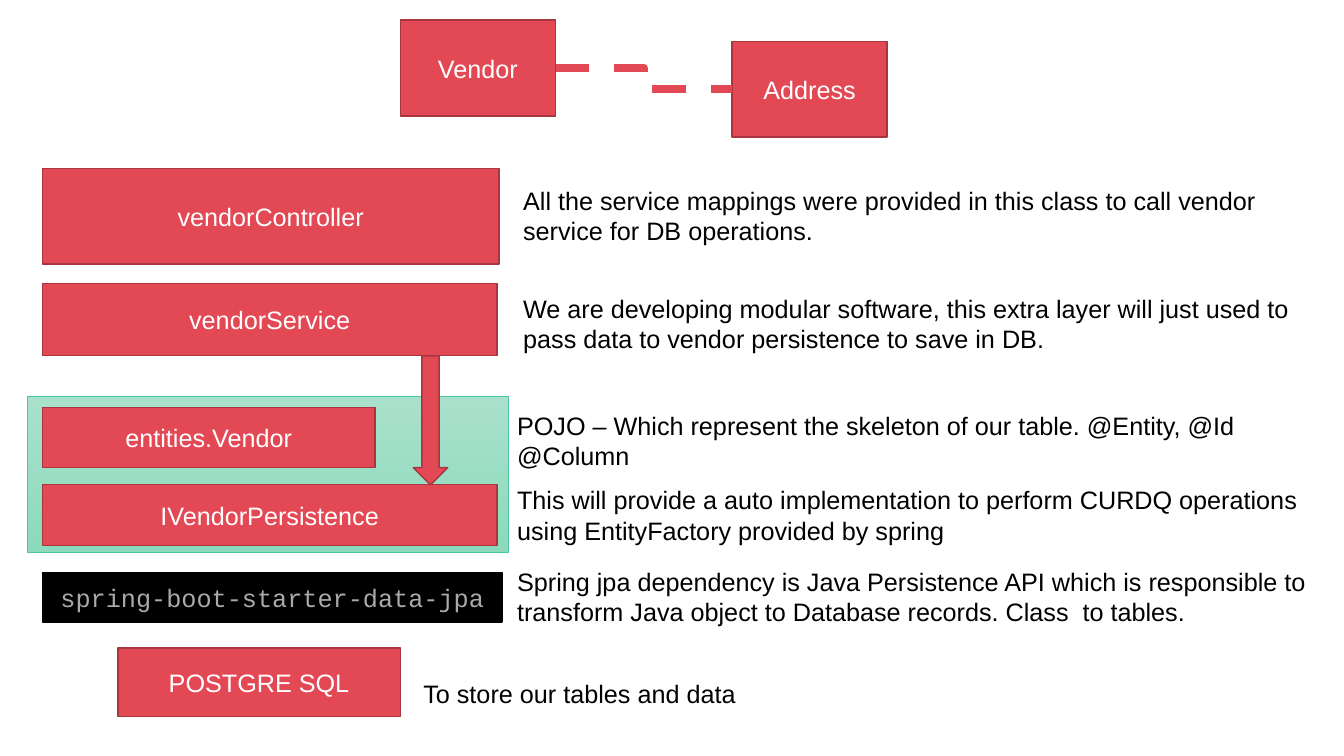
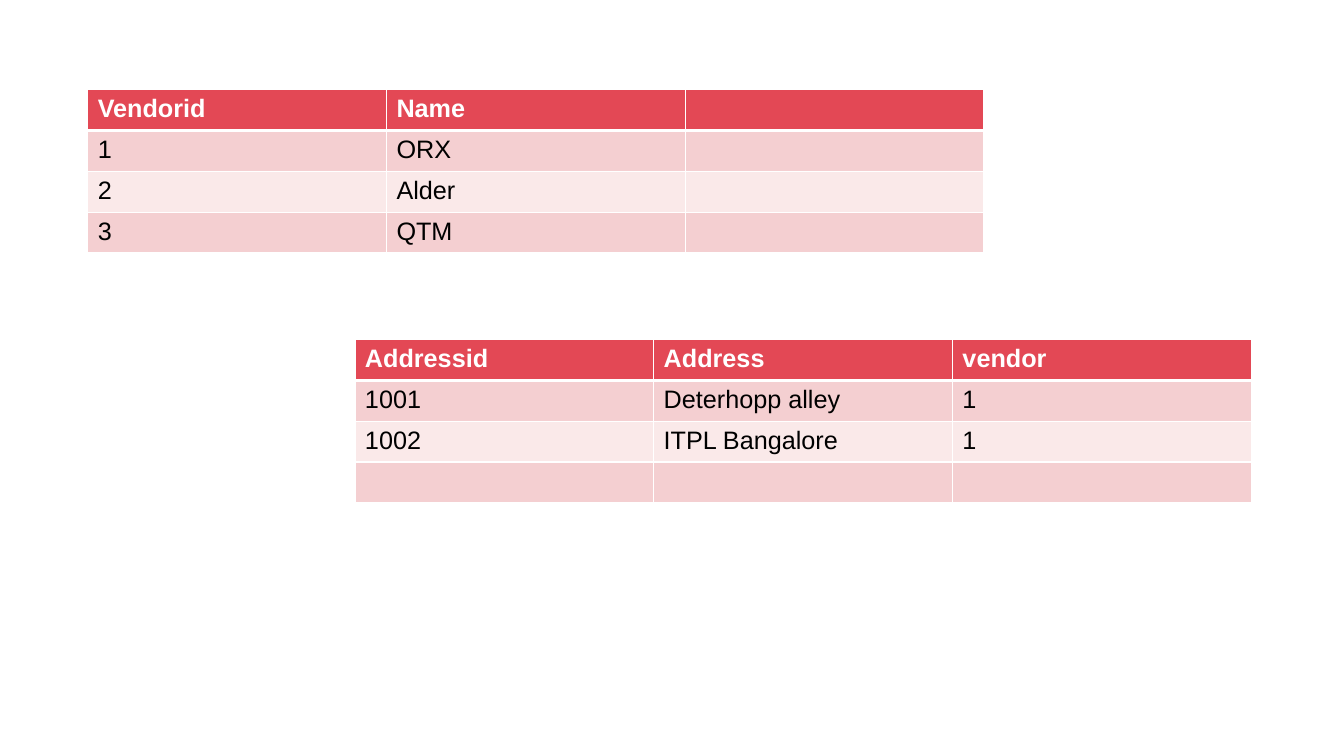
"""Builds two slides: the layers of a vendor service and its tables."""
from lxml import etree
from pptx import Presentation
from pptx.dml.color import RGBColor
from pptx.enum import dml, shapes, text
from pptx.oxml import ns
from pptx.util import Inches, Pt

COLORS = {
    "red": "E34855", "dark_red": "A8353F", "white": "FFFFFF", "black": "000000",
    "code": "AAAAAA", "mint_top": "AAE1CC", "mint_bottom": "8BDABC",
    "mint_line": "4BC7A0", "odd_row": "F4CFD1", "even_row": "FAE9E9",
}
BODY_FONT, CODE_FONT = "Arial", "Courier New"
LAYER_LEFT = 0.42
LAYERS = [
    (LAYER_LEFT, 1.67, 4.53, 0.95, "vendorController"),
    (LAYER_LEFT, 2.81, 4.51, 0.72, "vendorService"),
    (LAYER_LEFT, 4.04, 3.3, 0.6, "entities.Vendor"),
    (LAYER_LEFT, 4.81, 4.51, 0.6, "IVendorPersistence"),
    (1.17, 6.43, 2.8, 0.68, "POSTGRE SQL"),
]
NOTES = [
    (5.09, 1.79, 8.09, 0.71, "All the service mappings were provided in this class to call "
     "vendor service for DB operations."),
    (5.09, 2.86, 8.09, 0.71, "We are developing modular software, this extra layer will just "
     "used to pass data to vendor persistence to save in DB."),
    (5.03, 4.02, 8.58, 0.71, "POJO – Which represent the skeleton of our table. @Entity, @Id\n"
     "@Column"),
    (5.03, 4.76, 8.58, 0.71, "This will provide a auto implementation to perform CURDQ "
     "operations using EntityFactory provided by spring"),
    (5.03, 5.57, 8.58, 0.71, "Spring jpa dependency is Java Persistence API which is "
     "responsible to transform Java object to Database records. Class  to tables."),
    (4.1, 6.68, 8.58, 0.4, "To store our tables and data"),
]
VENDOR_ROWS = [("Vendorid", "Name", ""), ("1", "ORX", ""), ("2", "Alder", ""), ("3", "QTM", "")]
ADDRESS_ROWS = [("Addressid", "Address", "vendor"), ("1001", "Deterhopp alley", "1"),
                ("1002", "ITPL Bangalore", "1"), ("", "", "")]


def rgb(color):
    """Return the named colour."""
    return RGBColor.from_string(COLORS[color])


def write(frame, words, color, font=BODY_FONT, bold=False, align=None):
    """Set the text of a frame and format its paragraphs."""
    frame.text = words
    for paragraph in frame.paragraphs:
        paragraph.alignment = align
        style = paragraph.font
        style.name, style.size, style.bold = font, Pt(18), bold
        style.color.rgb = rgb(color)


def add_block(slide, box, label="", fill="red", line="dark_red", color="white",
              font=BODY_FONT, kind=shapes.MSO_SHAPE.RECTANGLE):
    """Draw a filled block with a centred label."""
    block = slide.shapes.add_shape(kind, *map(Inches, box))
    block.shadow.inherit = False
    block.fill.solid()
    block.fill.fore_color.rgb = rgb(fill)
    block.line.color.rgb = rgb(line)
    block.line.width = Pt(1)
    if label:
        block.text_frame.vertical_anchor = text.MSO_ANCHOR.MIDDLE
        write(block.text_frame, label, color, font, align=text.PP_ALIGN.CENTER)
    return block


def add_note(slide, box, words):
    """Write the explanation beside a layer."""
    frame = slide.shapes.add_textbox(*map(Inches, box)).text_frame
    frame.word_wrap = True
    write(frame, words, "black")


def add_persistence_panel(slide, box):
    """Draw the shaded panel behind the persistence layers."""
    panel = add_block(slide, box, line="mint_line")
    panel.line.width = Pt(0.5)
    panel.fill.gradient()
    panel.fill.gradient_angle = 270
    for stop, color in zip(panel.fill.gradient_stops, ("mint_top", "mint_bottom")):
        stop.color.rgb = rgb(color)


def add_entity_link(slide, left, top):
    """Draw the two entities and the dashed link between them."""
    vendor = add_block(slide, (left, top, 1.54, 0.95), "Vendor")
    address = add_block(slide, (left + 3.29, top + 0.21, 1.54, 0.95), "Address")
    link = slide.shapes.add_connector(shapes.MSO_CONNECTOR.ELBOW, 0, 0, 0, 0)
    link.begin_connect(vendor, 3)
    link.end_connect(address, 1)
    link.line.color.rgb = rgb("red")
    link.line.width = Pt(6)
    link.line.dash_style = dml.MSO_LINE.DASH
    etree.SubElement(link._element.spPr, ns.qn("a:effectLst"))


def set_borders(cell, bottom):
    """Give a cell white borders, with the bottom one of the given width."""
    properties = cell._tc.get_or_add_tcPr()
    for place, (side, width) in enumerate(
            (("lnL", 1), ("lnR", 1), ("lnT", 1), ("lnB", bottom))):
        border = etree.Element(ns.qn(f"a:{side}"), w=str(Pt(width)))
        fill = etree.SubElement(border, ns.qn("a:solidFill"))
        etree.SubElement(fill, ns.qn("a:srgbClr"), val=COLORS["white"])
        properties.insert(place, border)


def add_records(slide, left, top, rows):
    """Draw a table with a red header and alternating rows."""
    records = slide.shapes.add_table(
        len(rows), len(rows[0]), Inches(left), Inches(top),
        Inches(8.89), Inches(1.62)).table
    for row_index, row in enumerate(rows):
        header = row_index == 0
        fill = "red" if header else "odd_row" if row_index % 2 else "even_row"
        for column_index, words in enumerate(row):
            cell = records.cell(row_index, column_index)
            cell.fill.solid()
            cell.fill.fore_color.rgb = rgb(fill)
            set_borders(cell, 3 if header else 1)
            if header:
                cell._tc.tcPr.find(ns.qn("a:lnB")).set("w", str(Pt(3)))
            elif row_index == 1:
                cell._tc.tcPr.find(ns.qn("a:lnT")).set("w", str(Pt(3)))
            write(cell.text_frame, words, "white" if header else "black", bold=header)


def build_layers(slide):
    """Fill the slide that explains the layers."""
    add_persistence_panel(slide, (0.27, 3.93, 4.77, 1.55))
    for *box, label in LAYERS:
        add_block(slide, box, label)
    add_block(slide, (LAYER_LEFT, 5.68, 4.56, 0.49), "spring-boot-starter-data-jpa",
              "black", "black", "code", CODE_FONT)
    add_block(slide, (4.1, 3.53, 0.34, 1.28), kind=shapes.MSO_SHAPE.DOWN_ARROW)
    for *box, words in NOTES:
        add_note(slide, box, words)
    add_entity_link(slide, 3.97, 0.2)


def build_tables(slide):
    """Fill the slide that shows the two tables."""
    add_records(slide, 0.87, 0.89, VENDOR_ROWS)
    add_records(slide, 3.52, 3.37, ADDRESS_ROWS)


def main():
    """Build and save the presentation."""
    deck = Presentation()
    deck.slide_width, deck.slide_height = Inches(13.33), Inches(7.5)
    blank = deck.slide_layouts[6]
    for build in (build_layers, build_tables):
        build(deck.slides.add_slide(blank))
    deck.save("out.pptx")


if __name__ == "__main__":
    main()
